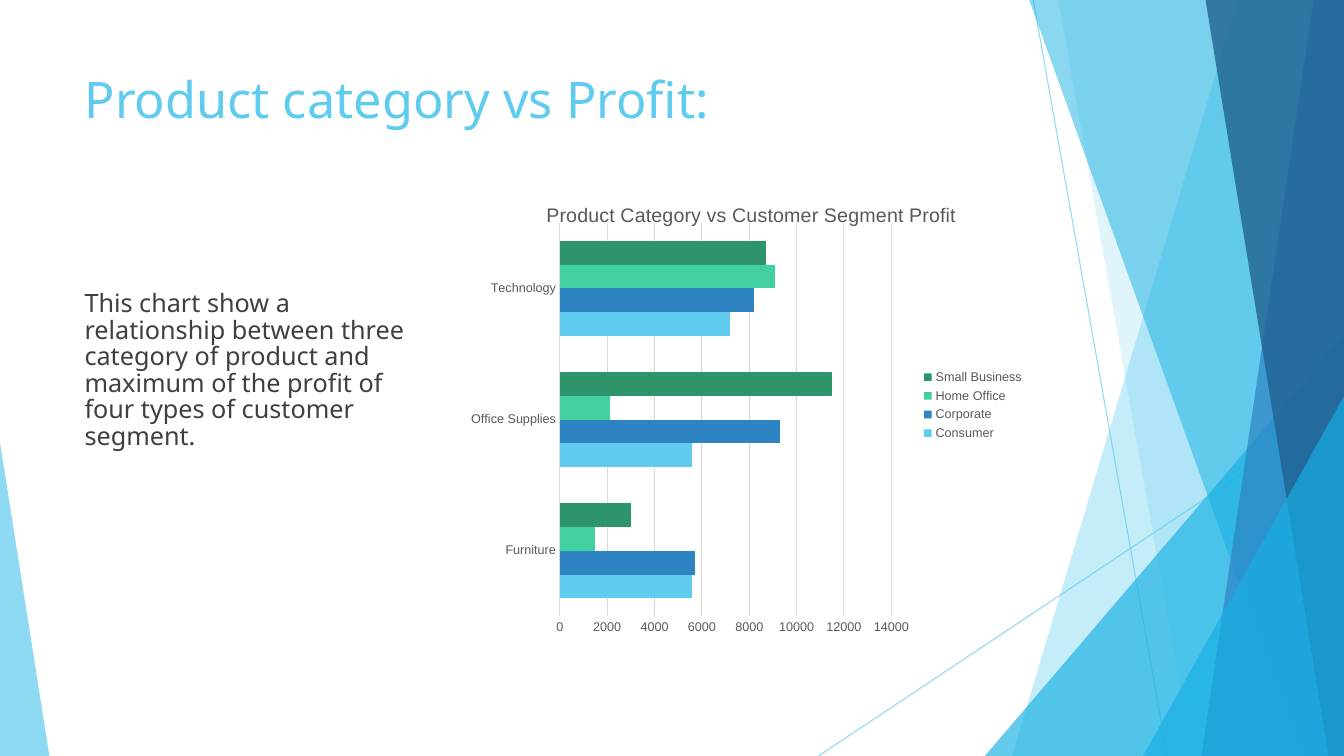
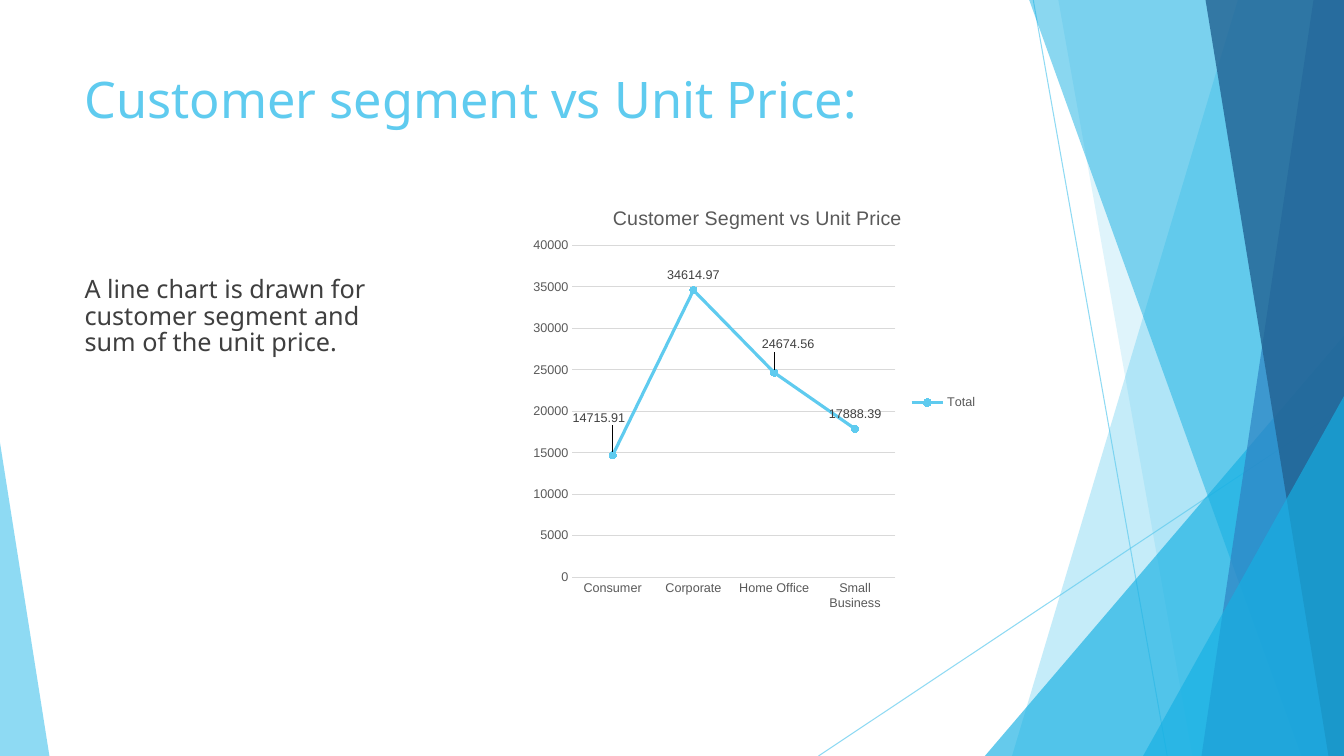
import lxml.etree
import pptx
import pptx.chart.data
import pptx.dml.color
import pptx.enum.chart
import pptx.enum.shapes
import pptx.oxml.ns
import pptx.util

WIDE = pptx.util.Inches(13.333)
HIGH = pptx.util.Inches(7.5)
SKY, CYAN, BLUE, NAVY = "5FCBEF", "16B0E3", "2E83C3", "226292"
MINT, GREEN = "42D0A2", "2E946B"
INK, GREY, DARK, PALE = "3F3F3F", "595959", "404040", "D9D9D9"

LINES = [(76.88, 0, 86.85, 100), (100, 53.73, 60.9, 100)]
BANDS = [
    ("band", 92.1, 75.3, SKY, 36),
    ("band", 78.75, 88.73, SKY, 20),
    ("peak", (73.28, 44.4, 26.72, 55.6), 1, CYAN, 66),
    ("band", 76.58, 96.83, CYAN, 50),
    ("band", 97.73, 89.4, BLUE, 70),
    ("band", 89.7, 98.85, NAVY, 80),
    ("peak", (85.05, 52.4, 14.95, 47.6), 1, CYAN, 66),
    ("peak", (0, 58.53, 3.68, 41.47), 0, SKY, 70),
]


def col(share):
    return round(WIDE * share / 100)


def row(share):
    return round(HIGH * share / 100)


def box(left, top, width, height):
    return col(left), row(top), col(width), row(height)


def hue(code):
    return pptx.dml.color.RGBColor.from_string(code)


def tag(name):
    return pptx.oxml.ns.qn(name)


def fade(shape, share):
    for tint in shape.element.xpath("./p:spPr//a:srgbClr"):
        lxml.etree.SubElement(tint, tag("a:alpha"), val=str(share * 1000))


def paint(shape, code, share):
    shape.shadow.inherit = False
    shape.fill.solid()
    shape.fill.fore_color.rgb = hue(code)
    shape.line.fill.background()
    fade(shape, share)


def draw_line(slide, left, top, right, low):
    line = slide.shapes.add_connector(
        pptx.enum.shapes.MSO_CONNECTOR.STRAIGHT,
        col(left), row(top), col(right), row(low))
    line.line.color.rgb = hue(SKY)
    line.line.width = pptx.util.Pt(0.75)
    fade(line, 70)
    lxml.etree.SubElement(line.element.spPr, tag("a:effectLst"))


def draw_band(slide, top, low, code, share):
    pen = slide.shapes.build_freeform(col(top), 0)
    pen.add_line_segments([(WIDE, 0), (WIDE, HIGH), (col(low), HIGH)])
    paint(pen.convert_to_shape(), code, share)


def draw_peak(slide, area, tip, code, share):
    peak = slide.shapes.add_shape(
        pptx.enum.shapes.MSO_SHAPE.ISOSCELES_TRIANGLE, *box(*area))
    peak.adjustments[0] = tip
    paint(peak, code, share)


def style(font, size, code, face="Arial"):
    font.size = pptx.util.Pt(size)
    font.name = face
    font.bold = False
    font.color.rgb = hue(code)


def add_text(slide, area, words, size, code, pitch):
    frame = slide.shapes.add_textbox(*box(*area)).text_frame
    frame.word_wrap = True
    frame.text = words
    para = frame.paragraphs[0]
    para.line_spacing = pitch
    style(para.runs[0].font, size, code, "Noto Sans")


def add_page(deck, title, area, words):
    slide = deck.slides.add_slide(deck.slide_layouts[6])
    for line in LINES:
        draw_line(slide, *line)
    for kind, *rest in BANDS:
        (draw_band if kind == "band" else draw_peak)(slide, *rest)
    add_text(slide, (5.55, 8.93, 70.5, 19.2), title, 36, SKY, 0.95)
    add_text(slide, area, words, 18, INK, 0.88)
    return slide


def set_place(node, index, **spots):
    for old in node.findall(tag("c:layout")):
        node.remove(old)
    layout = lxml.etree.Element(tag("c:layout"))
    manual = lxml.etree.SubElement(layout, tag("c:manualLayout"))
    for name, value in spots.items():
        lxml.etree.SubElement(manual, tag("c:" + name), val=str(value))
    node.insert(index, layout)


def set_axis(axis, code=None):
    axis.major_tick_mark = pptx.enum.chart.XL_TICK_MARK.NONE
    axis.minor_tick_mark = pptx.enum.chart.XL_TICK_MARK.NONE
    style(axis.tick_labels.font, 9, GREY)
    set_stroke(axis.format.line, code)


def set_stroke(line, code, width=0.75):
    if code:
        line.color.rgb = hue(code)
        line.width = pptx.util.Pt(width)
    else:
        line.fill.background()


def add_chart(slide, kind, area, title, cats, rows, spot, plot, base=None):
    data = pptx.chart.data.CategoryChartData()
    data.categories = cats
    for name, values in rows:
        data.add_series(name, values)
    chart = slide.shapes.add_chart(kind, *box(*area), data).chart
    style(chart.font, 10, "000000")
    chart.has_title = True
    chart.chart_title.text_frame.text = title
    head = chart.chart_title.text_frame.paragraphs[0].runs[0]
    style(head.font, 14, GREY)
    chart.has_legend = True
    chart.legend.position = pptx.enum.chart.XL_LEGEND_POSITION.RIGHT
    chart.legend.include_in_layout = False
    style(chart.legend.font, 9, GREY)
    set_axis(chart.category_axis, base)
    set_axis(chart.value_axis)
    chart.value_axis.has_major_gridlines = True
    set_stroke(chart.value_axis.major_gridlines.format.line, PALE)
    chart.plots[0].vary_by_categories = False
    left, top = spot
    set_place(chart.chart_title.element if hasattr(chart.chart_title, "element")
              else chart.element.xpath(".//c:title")[0], 1,
              xMode="edge", yMode="edge", x=left, y=top)
    left, top, width, height = plot
    set_place(chart.element.xpath(".//c:plotArea")[0], 0,
              layoutTarget="inner", xMode="edge", yMode="edge",
              x=left, y=top, w=width, h=height)
    return chart


def fill_bars(chart, codes):
    plot = chart.plots[0]
    plot.gap_width = 150
    for bars, code in zip(plot.series, codes):
        bars.format.fill.solid()
        bars.format.fill.fore_color.rgb = hue(code)


def style_curve(curve, code):
    curve.smooth = False
    set_stroke(curve.format.line, code, 2.25)
    mark = curve.marker
    mark.style = pptx.enum.chart.XL_MARKER_STYLE.CIRCLE
    mark.size = 5
    mark.format.fill.solid()
    mark.format.fill.fore_color.rgb = hue(code)
    set_stroke(mark.format.line, code)


def label_curve(chart, curve, moves):
    above = pptx.enum.chart.XL_LABEL_POSITION.ABOVE
    labels = curve.data_labels
    labels.show_value = True
    labels.position = above
    style(labels.font, 9, DARK)
    for index in moves:
        label = curve.points[index].data_label
        style(label.font, 9, DARK)
        label.position = above
    for node, (left, top) in zip(chart.element.xpath(".//c:dLbl"), moves.values()):
        set_place(node, 1, x=left, y=top)


def add_profit(deck):
    slide = add_page(
        deck, "Product category vs Profit:", (5.55, 37.87, 27.15, 50.27),
        "This chart show a relationship between three category of product "
        "and maximum of the profit of four types of customer segment.")
    chart = add_chart(
        slide, pptx.enum.chart.XL_CHART_TYPE.BAR_CLUSTERED,
        (34.43, 21.87, 42.53, 63.47),
        "Product Category vs Customer Segment Profit",
        ["Furniture", "Office Supplies", "Technology"],
        [("Consumer", (5600, 5600, 7200)),
         ("Corporate", (5700, 9300, 8200)),
         ("Home Office", (1500, 2100, 9100)),
         ("Small Business", (3000, 11500, 8700))],
        (0.14, 0.07), (0.17, 0.12, 0.58, 0.82))
    fill_bars(chart, [SKY, BLUE, MINT, GREEN])


def add_price(deck):
    slide = add_page(
        deck, "Customer segment vs Unit Price:", (5.55, 36, 26.1, 52.13),
        "A line chart is drawn for customer segment and sum of the unit price.")
    chart = add_chart(
        slide, pptx.enum.chart.XL_CHART_TYPE.LINE_MARKERS,
        (39.15, 24.4, 34.35, 57.73),
        "Customer Segment vs Unit Price",
        ["Consumer", "Corporate", "Home Office", "Small Business"],
        [("Total", (14715.91, 34614.97, 24674.56, 17888.39))],
        (0.18, 0.04), (0.1, 0.14, 0.7, 0.76), PALE)
    curve = chart.plots[0].series[0]
    style_curve(curve, SKY)
    label_curve(chart, curve, {0: (-0.03, -0.05), 2: (0.03, -0.03)})


def main():
    deck = pptx.Presentation()
    deck.slide_width, deck.slide_height = WIDE, HIGH
    add_profit(deck)
    add_price(deck)
    deck.save("out.pptx")


if __name__ == "__main__":
    main()
